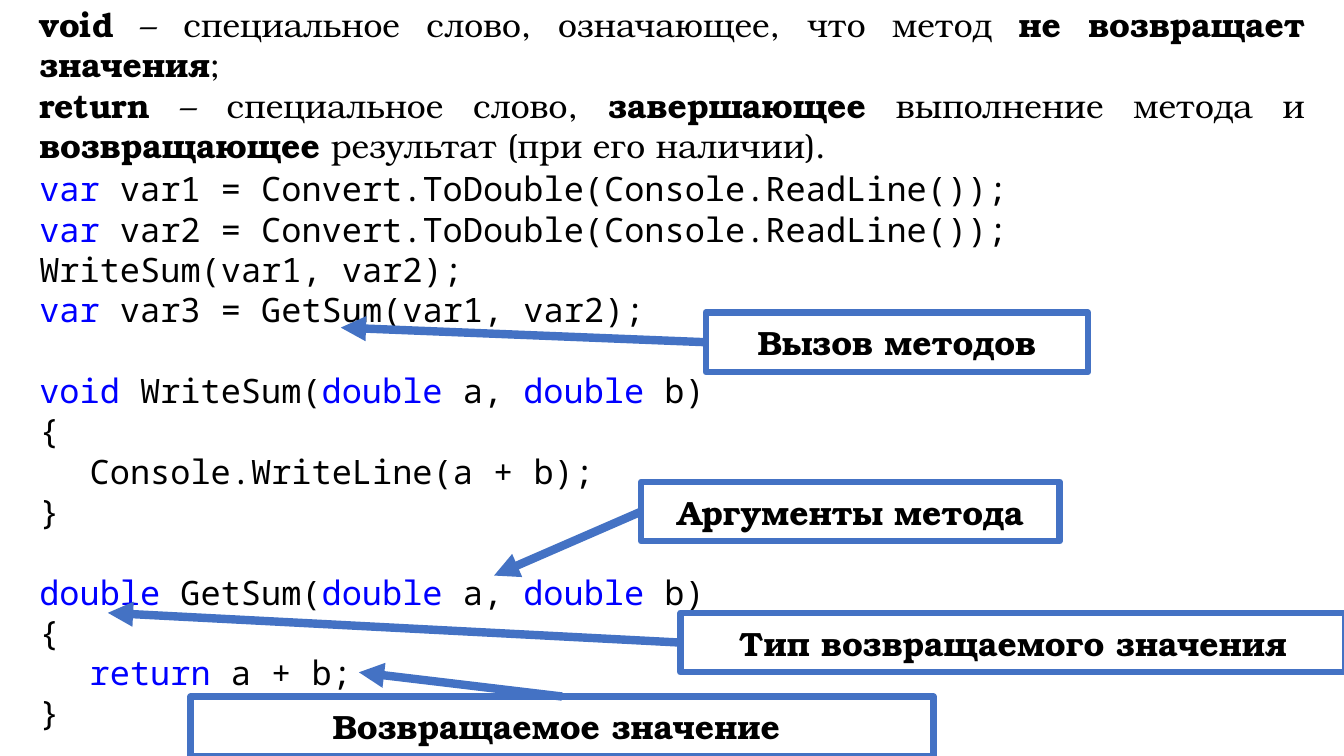
from lxml import etree
from pptx import Presentation
from pptx.dml.color import RGBColor
from pptx.enum.shapes import MSO_CONNECTOR, MSO_SHAPE
from pptx.enum.text import MSO_ANCHOR, MSO_AUTO_SIZE, PP_ALIGN
from pptx.oxml.ns import qn
from pptx.util import Pt

PX = 9144  # 100 px to the inch
WIDE, HIGH = 1333, 750
RECT, LINE = MSO_SHAPE.RECTANGLE, MSO_CONNECTOR.STRAIGHT
MIDDLE, GROW = MSO_ANCHOR.MIDDLE, MSO_AUTO_SIZE.SHAPE_TO_FIT_TEXT
LEFT, CENTER, JUSTIFY = PP_ALIGN.LEFT, PP_ALIGN.CENTER, PP_ALIGN.JUSTIFY
TOP_SITE, LEFT_SITE = 0, 1

BLACK = RGBColor(0x00, 0x00, 0x00)
WHITE = RGBColor(0xFF, 0xFF, 0xFF)
BLUE = RGBColor(0x44, 0x72, 0xC4)
KEYWORD = RGBColor(0x00, 0x00, 0xFF)
MONO, SERIF = "Noto Sans Mono", "TeX Gyre Bonum"
SIZE = Pt(24)
LINE_GAP = Pt(28.8)  # height of one code line
TAB = 50

# Parts between bars are emphasised
TERMS = [
    "|void| – специальное слово, означающее, что метод |не возвращает значения|;",
    "|return| – специальное слово, |завершающее| выполнение метода и "
    "|возвращающее| результат (при его наличии).",
]
# Blocks of code; a leading tab marks an indented line
CODE = [
    ["|var |var1 = Convert.ToDouble(Console.ReadLine());",
     "|var |var2 = Convert.ToDouble(Console.ReadLine());",
     "WriteSum(var1, var2);",
     "|var |var3 = GetSum(var1, var2);"],
    ["|void |WriteSum(|double| a, |double| b)",
     "{", "\tConsole.WriteLine(a + b);", "}"],
    ["|double |GetSum(|double| a, |double| b)",
     "{", "\t|return |a + b;", "}"],
]
# Text, box, side the arrow leaves from, arrow tip
LABELS = [
    ("Аргументы метода", (636, 478, 415, 59), LEFT_SITE, (490, 571)),
    ("Возвращаемое значение ", (189, 691, 737, 59), TOP_SITE, (356, 667)),
    ("Тип возвращаемого значения", (675, 608, 659, 59), LEFT_SITE, (107, 608)),
    ("Вызов методов", (700, 310, 379, 59), LEFT_SITE, (338, 325)),
]


def scale(*sizes):
    return [size * PX for size in sizes]


def write(par, text, font, align):
    """Fill a paragraph and yield its runs with their emphasis."""
    par.alignment = align
    for order, part in enumerate(text.split("|")):
        if part:
            run = par.add_run()
            run.text = part
            run.font.name, run.font.size = font, SIZE
            run.font.color.rgb = BLACK
            yield run, order % 2 == 1


def pad(frame):
    frame.word_wrap = True
    frame.margin_left = frame.margin_right = 39 * PX
    frame.margin_top = frame.margin_bottom = 5 * PX


def add_rect(slide, box):
    rect = slide.shapes.add_shape(RECT, *scale(*box))
    rect.shadow.inherit = False
    rect.fill.solid()
    rect.fill.fore_color.rgb = WHITE
    rect.line.fill.background()
    rect.text_frame.vertical_anchor = MIDDLE
    return rect


def add_code(slide, box):
    frame = slide.shapes.add_textbox(*scale(*box)).text_frame
    pad(frame)
    frame.auto_size = GROW
    par = frame.paragraphs[0]
    for block, lines in enumerate(CODE):
        for row, text in enumerate(lines):
            if block or row:
                par = frame.add_paragraph()
            if block and not row:
                par.space_before = LINE_GAP
            for run, marked in write(par, text.lstrip("\t"), MONO, LEFT):
                if marked:
                    run.font.color.rgb = KEYWORD
            if text.startswith("\t"):
                props = par._p.get_or_add_pPr()
                props.set("marL", str(TAB * PX))
                props.set("indent", "0")


def add_label(slide, text, box, site, tip):
    rect = add_rect(slide, box)
    rect.line.color.rgb, rect.line.width = BLUE, Pt(4.5)
    rect.text_frame.word_wrap = True
    for run, _ in write(rect.text_frame.paragraphs[0], text, SERIF, CENTER):
        run.font.bold = True
    # Arrow from the box to the code
    arrow = slide.shapes.add_connector(LINE, *scale(*box[:2], *tip))
    arrow.begin_connect(rect, site)
    arrow.line.color.rgb, arrow.line.width = BLUE, Pt(6)
    etree.SubElement(arrow.line._get_or_add_ln(), qn("a:tailEnd"), type="triangle")
    etree.SubElement(arrow._element.spPr, qn("a:effectLst"))


def add_terms(slide, box):
    frame = add_rect(slide, box).text_frame
    pad(frame)
    for order, text in enumerate(TERMS):
        par = frame.add_paragraph() if order else frame.paragraphs[0]
        for run, marked in write(par, text, SERIF, JUSTIFY):
            run.font.bold = marked


def main():
    deck = Presentation()
    deck.slide_width, deck.slide_height = scale(WIDE, HIGH)
    slide = deck.slides.add_slide(deck.slide_layouts[6])
    add_code(slide, (0, 162, WIDE, 576))
    for label in LABELS:
        add_label(slide, *label)
    add_terms(slide, (0, 0, WIDE, 168))
    deck.save("out.pptx")


if __name__ == "__main__":
    main()
